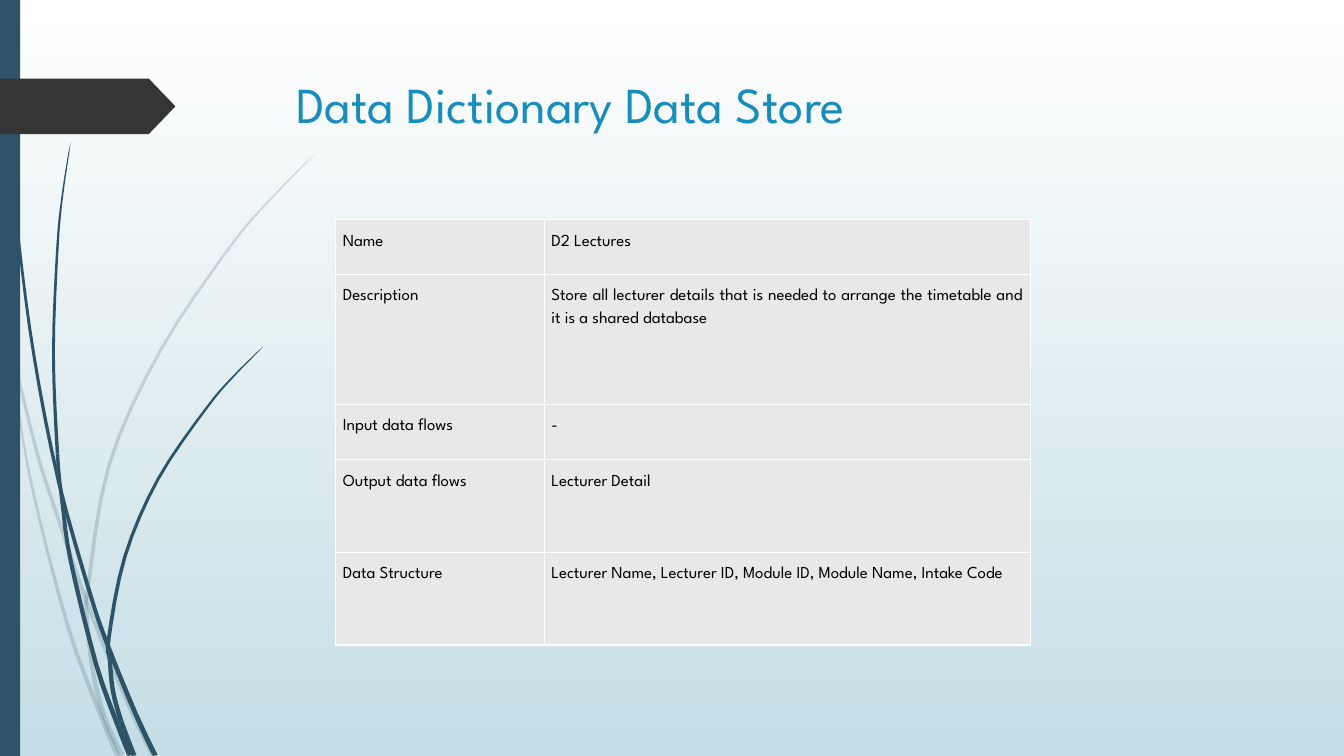
import math

from lxml import etree
from pptx import Presentation
from pptx.dml.color import RGBColor
from pptx.enum import shapes, text
from pptx.oxml import ns
from pptx.util import Inches, Pt

TITLE = "Data Dictionary Data Store"
ENTRIES = [
    ("Name", "D2 Lectures"),
    ("Description", "Store all lecturer details that is needed to arrange "
                    "the timetable and it is a shared database"),
    ("Input data flows", "-"),
    ("Output data flows", "Lecturer Detail"),
    ("Data Structure", "Lecturer Name, Lecturer ID, Module ID, Module Name, Intake Code"),
]
COL_WIDTHS = (2.07, 4.82)
ROW_HEIGHTS = (0.54, 1.29, 0.55, 0.92, 0.92)

# Centre line of each grass stem from tip to root, in inches, one list per section.
# A section starts where the one before it ends.
PALE_STEMS = [
    [[(0, 2.9), (0.05, 3.13), (0.12, 3.48)],
     [(0.37, 4.5), (0.6, 5.21), (0.86, 5.97)],
     [(1.25, 6.93), (1.52, 7.5)]],
    [[(0.11, 3.5), (0.29, 4.7), (0.67, 6.2), (1, 7.1)],
     [(1.17, 7.5)]],
    [[(3.12, 1.53), (2.68, 1.98), (2.28, 2.45), (1.59, 3.48), (1.08, 4.62), (0.87, 5.86)],
     [(0.86, 6.1)],
     [(0.92, 6.65), (1.03, 7.1)],
     [(1.21, 7.5)]],
]
DARK_STEMS = [
    [[(0.04, 0), (0.08, 1.1), (0.18, 2.33), (0.34, 3.55), (0.58, 4.77)],
     [(0.9, 5.91), (1.08, 6.43)],
     [(1.34, 7.07), (1.54, 7.5)]],
    [[(0.7, 1.41), (0.62, 1.93), (0.57, 2.45), (0.53, 3.49), (0.57, 4.5)],
     [(0.62, 5)],
     [(0.7, 5.56), (0.95, 6.58), (1.17, 7.2)],
     [(1.29, 7.5)]],
    [[(2.61, 3.44), (2.31, 3.74), (2.04, 4.06), (1.57, 4.75), (1.24, 5.52), (1.08, 6.33)],
     [(1.09, 6.55)],
     [(1.12, 6.85), (1.2, 7.15)],
     [(1.33, 7.5)]],
]

THEME = {
    "font": "League Spartan", "title_size": 36, "cell_size": 12,
    "sky": "FFFFFF", "ground": "C5DEE5", "stem": "2E5369", "tag": "353535",
    "title": "178DBB", "cell": "E8E8E8", "ink": "000000", "border": "FFFFFF",
}
SLIDE_W, SLIDE_H = 13.33, 7.5
STEM_WIDTH = 0.05
STEPS = 4
UNITS = 1000  # freeform units in an inch


def rgb(name):
    return RGBColor.from_string(THEME[name])


def set_font(p, size, color):
    p.font.name = THEME["font"]
    p.font.size = Pt(THEME[size])
    p.font.color.rgb = rgb(color)


def paint(sp, color):
    sp.shadow.inherit = False
    sp.fill.solid()
    sp.fill.fore_color.rgb = rgb(color)
    sp.line.fill.background()


def smooth(knots):
    """Return points on a Catmull-Rom spline through the knots."""
    ends = [knots[0], *knots, knots[-1]]
    points = []
    for a, b, c, d in zip(ends, ends[1:], ends[2:], ends[3:]):
        for step in range(STEPS):
            t = step / STEPS
            points.append(tuple(
                q + t / 2 * (r - o + t * (2 * o - 5 * q + 4 * r - w
                                          + t * (3 * q - o - 3 * r + w)))
                for o, q, r, w in zip(a, b, c, d)))
    return points + [knots[-1]]


def add_blade(s, outline, alpha):
    points = [(round(x * UNITS), round(y * UNITS)) for x, y in outline]
    fb = s.shapes.build_freeform(*points[0], scale=Inches(1) / UNITS)
    fb.add_line_segments(points[1:], close=True)
    sp = fb.convert_to_shape()
    paint(sp, "stem")
    if alpha:
        color = sp._element.spPr.find(".//" + ns.qn("a:srgbClr"))
        etree.SubElement(color, ns.qn("a:alpha"), val=str(alpha * 1000))


def add_stem(s, sections, alpha=None):
    """Draw a stem that widens from its tip to its root, section by section."""
    line = smooth(sum(sections, []))
    left, right = [], []
    for i, (x, y) in enumerate(line):
        x0, y0 = line[max(i - 1, 0)]
        x1, y1 = line[min(i + 1, len(line) - 1)]
        run = math.hypot(x1 - x0, y1 - y0)
        half = STEM_WIDTH / 2 * math.sqrt(i / (len(line) - 1))
        dx, dy = (y1 - y0) / run * half, (x0 - x1) / run * half
        left.append((max(x - dx, 0), min(y - dy, SLIDE_H)))
        right.append((max(x + dx, 0), min(y + dy, SLIDE_H)))
    start, knots = 0, -1
    for section in sections:
        knots += len(section)
        end = knots * STEPS
        add_blade(s, left[start:end + 1] + right[start:end + 1][::-1], alpha)
        start = end


def add_borders(cell):
    tc_pr = cell._tc.get_or_add_tcPr()
    for side in ("lnL", "lnR", "lnT", "lnB"):
        ln = etree.SubElement(tc_pr, ns.qn("a:" + side), w=str(Pt(1)))
        fill = etree.SubElement(ln, ns.qn("a:solidFill"))
        etree.SubElement(fill, ns.qn("a:srgbClr"), val=THEME["border"])


def add_backdrop(s):
    fill = s.background.fill
    fill.gradient()
    fill.gradient_angle = 270
    for stop, color in zip(fill.gradient_stops, ("sky", "ground")):
        stop.color.rgb = rgb(color)
    for sections in PALE_STEMS:
        add_stem(s, sections, alpha=20)
    for sections in DARK_STEMS:
        add_stem(s, sections)
    bar = s.shapes.add_shape(shapes.MSO_SHAPE.RECTANGLE, 0, 0, Inches(0.2), Inches(SLIDE_H))
    paint(bar, "stem")
    tag = s.shapes.add_shape(shapes.MSO_SHAPE.PENTAGON, 0, Inches(0.78),
                             Inches(1.74), Inches(0.55))
    tag.adjustments[0] = 0.48
    paint(tag, "tag")


def add_title(s):
    title = s.shapes.title
    title.left, title.top, title.width, title.height = map(Inches, (2.84, 0.68, 9.75, 1.4))
    tf = title.text_frame
    tf.text = TITLE
    tf.vertical_anchor = text.MSO_ANCHOR.TOP
    p = tf.paragraphs[0]
    p.alignment = text.PP_ALIGN.LEFT
    set_font(p, "title_size", "title")


def add_dictionary(s):
    table = s.shapes.add_table(
        len(ENTRIES), len(COL_WIDTHS), Inches(3.33), Inches(2.18),
        Inches(sum(COL_WIDTHS)), Inches(sum(ROW_HEIGHTS))).table
    table.first_row = table.horz_banding = False
    for col, width in zip(table.columns, COL_WIDTHS):
        col.width = Inches(width)
    for row, height, entry in zip(table.rows, ROW_HEIGHTS, ENTRIES):
        row.height = Inches(height)
        for cell, words in zip(row.cells, entry):
            cell.text = words
            cell.margin_left = cell.margin_right = Inches(0.07)
            cell.margin_top = cell.margin_bottom = Inches(0.07)
            add_borders(cell)
            cell.fill.solid()
            cell.fill.fore_color.rgb = rgb("cell")
            p = cell.text_frame.paragraphs[0]
            p.alignment = text.PP_ALIGN.JUSTIFY
            p.line_spacing = 1.5
            p.space_after = Pt(6)
            set_font(p, "cell_size", "ink")


def main():
    prs = Presentation()
    prs.slide_width, prs.slide_height = Inches(SLIDE_W), Inches(SLIDE_H)
    s = prs.slides.add_slide(prs.slide_layouts.get_by_name("Title Only"))
    add_backdrop(s)
    add_title(s)
    add_dictionary(s)
    prs.save("out.pptx")


if __name__ == "__main__":
    main()
